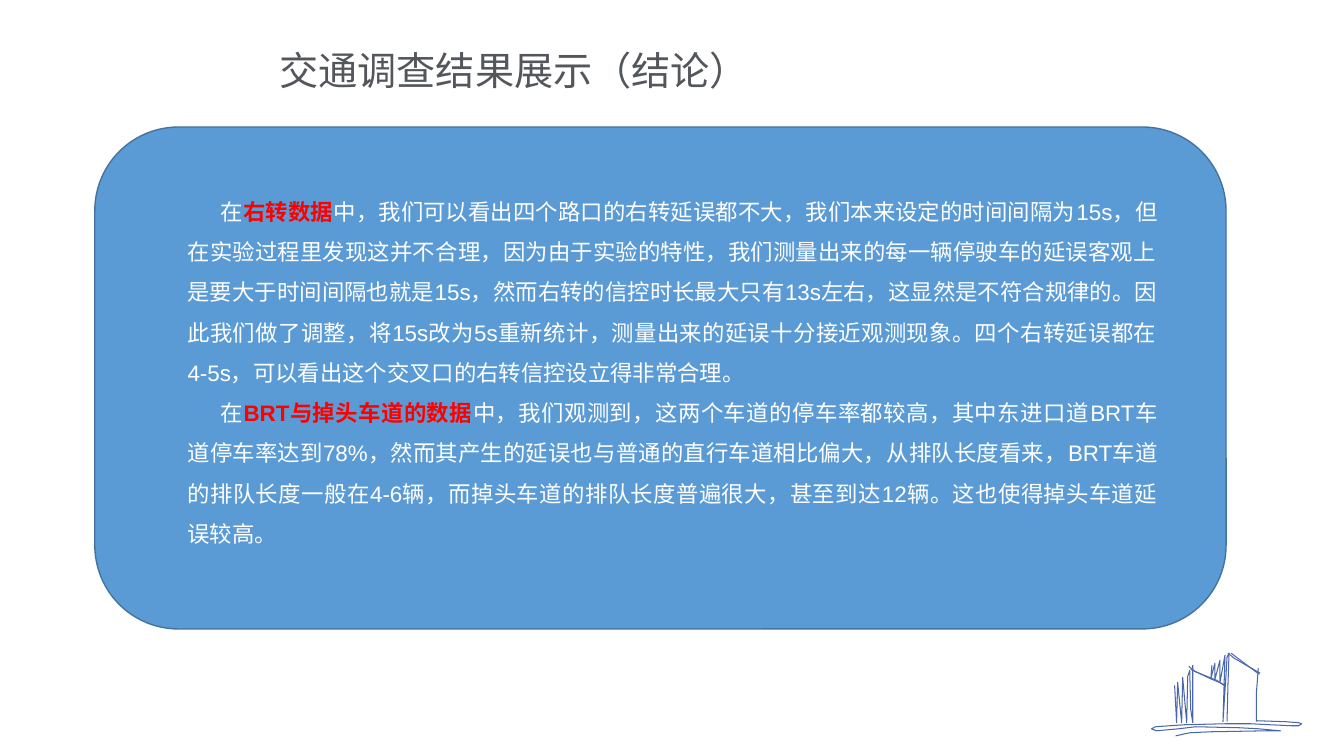
from dataclasses import dataclass

from lxml import etree
from pptx import Presentation
from pptx.dml.color import RGBColor
from pptx.enum.lang import MSO_LANGUAGE_ID
from pptx.enum.shapes import MSO_SHAPE
from pptx.enum.text import MSO_ANCHOR, MSO_AUTO_SIZE, PP_ALIGN
from pptx.oxml.ns import qn
from pptx.util import Inches, Pt

ROUNDED = MSO_SHAPE.ROUNDED_RECTANGLE
TOP, MIDDLE = MSO_ANCHOR.TOP, MSO_ANCHOR.MIDDLE
CENTER, JUSTIFY = PP_ALIGN.CENTER, PP_ALIGN.JUSTIFY
NO_FIT = MSO_AUTO_SIZE.NONE
CHINESE = MSO_LANGUAGE_ID.SIMPLIFIED_CHINESE


@dataclass(frozen=True)
class Theme:
    title: str = "53575C"
    panel: str = "5B9BD5"
    border: str = "43739E"
    text: str = "FFFFFF"
    accent: str = "FF0000"
    sketch: str = "4A67AA"
    title_font: str = "Calibri"
    body_font: str = "Arial"
    title_size: float = 28
    body_size: float = 16


TITLE = "交通调查结果展示（结论）"

# Each paragraph is a list of (text, highlighted) runs
CONCLUSIONS = [
    [("在", False), ("右转数据", True),
     ("中，我们可以看出四个路口的右转延误都不大，我们本来设定的时间间隔为15s，"
      "但在实验过程里发现这并不合理，因为由于实验的特性，我们测量出来的每一辆停驶车的延误客观"
      "上是要大于时间间隔也就是15s，然而右转的信控时长最大只有13s左右，这显然是不符合规律的。"
      "因此我们做了调整，将15s改为5s重新统计，测量出来的延误十分接近观测现象。四个右转延误"
      "都在4-5s，可以看出这个交叉口的右转信控设立得非常合理。", False)],
    [("在", False), ("BRT与掉头车道的数据", True),
     ("中，我们观测到，这两个车道的停车率都较高，其中东进口道BRT"
      "车道停车率达到78%，然而其产生的延误也与普通的直行车道相比偏大，从排队长度看来，BRT"
      "车道的排队长度一般在4-6辆，而掉头车道的排队长度普遍很大，甚至到达12辆。这也使得掉头"
      "车道延误较高。", False)],
]

# Pen strokes of the building sketch, in inches
SKETCH = [
    # left facade
    [(11.65, 6.8), (11.67, 7.17), (11.68, 6.77), (11.72, 7.17), (11.73, 6.72),
     (11.77, 7.17), (11.78, 6.71), (11.8, 6.65), (11.81, 7.04), (11.83, 7.17),
     (11.83, 6.6)],
    # middle facade
    [(12.02, 6.6), (12.01, 6.73), (12.05, 6.58), (12.05, 6.74), (12.1, 6.55),
     (12.1, 6.77), (12.15, 6.5), (12.13, 7.16), (12.16, 6.7), (12.17, 6.52),
     (12.19, 6.48), (12.18, 6.78), (12.17, 7.16)],
    # roofs
    [(12.21, 6.48), (12.33, 6.57), (12.49, 6.69)],
    [(12.18, 6.48), (12.24, 6.53), (12.36, 6.6), (12.5, 6.68)],
    [(11.79, 6.61), (11.85, 6.66), (11.92, 6.69), (12.07, 6.75), (12.14, 6.8)],
    [(11.81, 6.64), (12, 6.73), (12.14, 6.79)],
    # right wall
    [(12.48, 6.63), (12.46, 6.89), (12.46, 7.16)],
    # ground
    [(12.46, 7.15), (12.75, 7.16), (12.88, 7.17), (12.91, 7.18), (12.88, 7.2),
     (12.81, 7.2), (12.59, 7.19), (12.4, 7.18), (12.16, 7.18), (11.75, 7.19),
     (11.46, 7.21), (11.42, 7.23), (11.47, 7.25), (11.69, 7.23), (11.86, 7.21),
     (12.29, 7.22), (12.48, 7.23), (12.7, 7.25), (12.56, 7.25), (12, 7.26),
     (11.8, 7.27), (11.66, 7.3)],
]


class SlideBuilder:
    def __init__(self, prs, theme):
        self.theme = theme
        self.s = prs.slides.add_slide(prs.slide_layouts[1])

    def _place(self, sp, box, anchor):
        sp.left, sp.top, sp.width, sp.height = map(Inches, box)
        tf = sp.text_frame
        tf.word_wrap = True
        tf.auto_size = NO_FIT
        tf.vertical_anchor = anchor
        return tf

    def _run(self, p, text, font, size, color, bold=False):
        r = p.add_run()
        r.text = text
        r.font.name, r.font.size, r.font.bold = font, Pt(size), bold
        r.font.language_id = CHINESE
        r.font.color.rgb = RGBColor.from_string(color)

    def title(self, text, box):
        t = self.theme
        p = self._place(self.s.shapes.title, box, MIDDLE).paragraphs[0]
        p.alignment = CENTER
        self._run(p, text, t.title_font, t.title_size, t.title)

    def body(self, paragraphs, box):
        t = self.theme
        tf = self._place(self.s.placeholders[1], box, TOP)
        for i, runs in enumerate(paragraphs):
            p = tf.paragraphs[0] if i == 0 else tf.add_paragraph()
            p.alignment = JUSTIFY
            p.line_spacing = 1.5
            p.space_before = Pt(0)
            # first-line indent without a bullet
            pPr = p._p.get_or_add_pPr()
            pPr.set("marL", "0")
            pPr.set("indent", str(Inches(0.33)))
            etree.SubElement(pPr, qn("a:buNone"))
            for text, marked in runs:
                color = t.accent if marked else t.text
                self._run(p, text, t.body_font, t.body_size, color, marked)

    def panel(self, box):
        sp = self.s.shapes.add_shape(ROUNDED, *map(Inches, box))
        sp.shadow.inherit = False
        sp.fill.solid()
        sp.fill.fore_color.rgb = RGBColor.from_string(self.theme.panel)
        sp.line.color.rgb = RGBColor.from_string(self.theme.border)
        sp.line.width = Pt(1)
        # behind the text placeholders
        self.s.shapes.title.element.addprevious(sp.element)

    def stroke(self, points):
        start, *rest = [(Inches(x), Inches(y)) for x, y in points]
        builder = self.s.shapes.build_freeform(*start)
        builder.add_line_segments(rest, close=False)
        sp = builder.convert_to_shape()
        sp.shadow.inherit = False
        sp.fill.background()
        sp.line.color.rgb = RGBColor.from_string(self.theme.sketch)
        sp.line.width = Pt(0.75)


def main():
    prs = Presentation()
    prs.slide_width, prs.slide_height = Inches(13.33), Inches(7.5)
    slide = SlideBuilder(prs, Theme())

    # Heading and conclusions
    slide.panel((0.94, 1.26, 11.22, 4.98))
    slide.title(TITLE, (1.3, 0.41, 7.6, 0.57))
    slide.body(CONCLUSIONS, (1.76, 1.78, 9.82, 3.94))

    # Corner decoration
    for points in SKETCH:
        slide.stroke(points)

    prs.save("out.pptx")


if __name__ == "__main__":
    main()
